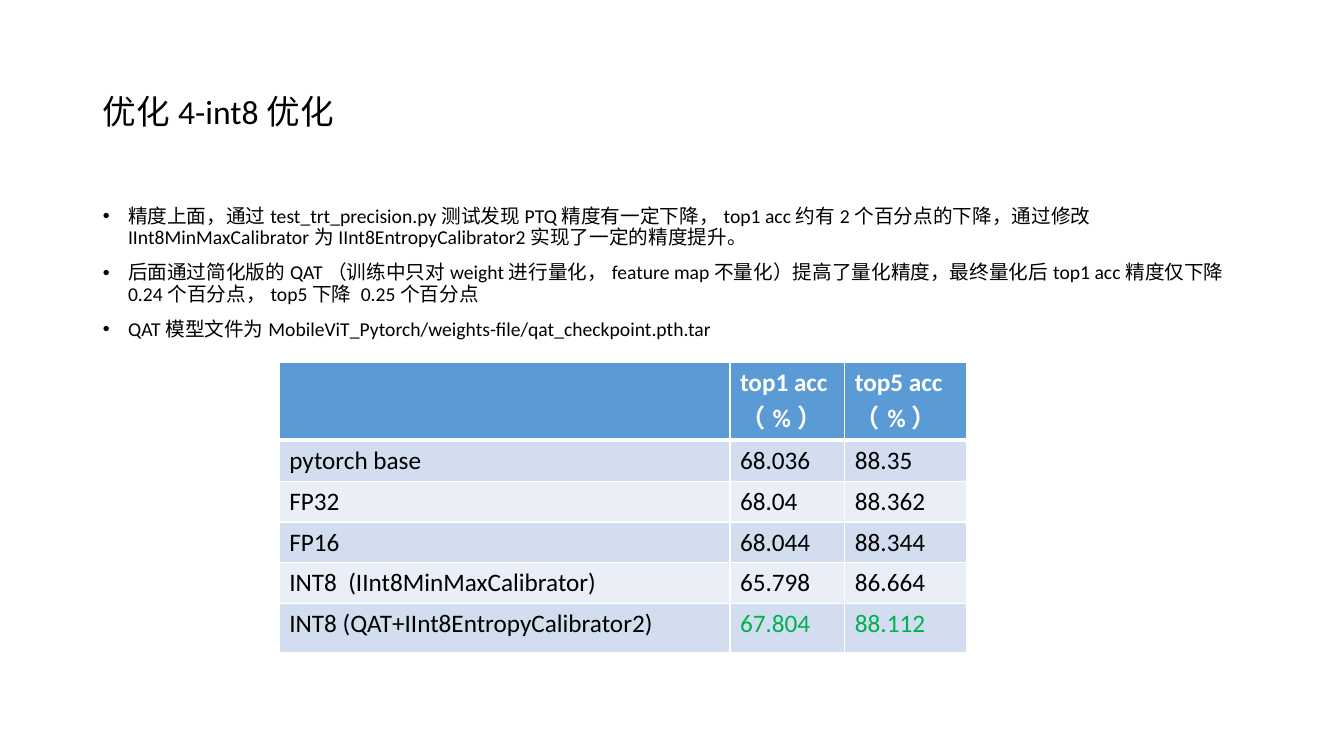
from pptx import Presentation
from pptx.dml.color import RGBColor
from pptx.enum.text import MSO_ANCHOR, MSO_AUTO_SIZE, PP_ALIGN
from pptx.oxml.ns import qn
from pptx.util import Inches, Pt
from lxml.etree import SubElement

WHITE = RGBColor(0xFF, 0xFF, 0xFF)
BLACK = RGBColor(0x00, 0x00, 0x00)
GREEN = RGBColor(0x00, 0xB0, 0x50)
HEADER_BLUE = RGBColor(0x5B, 0x9B, 0xD5)
BANDS = (RGBColor(0xEA, 0xEF, 0xF7), RGBColor(0xD2, 0xDE, 0xEF))
FONT = "Calibri"

TITLE = "优化4-int8优化"
FINDINGS = [
    "精度上面，通过test_trt_precision.py测试发现PTQ精度有一定下降，top1 acc约有2个百分点的下降，"
    "通过修改IInt8MinMaxCalibrator为IInt8EntropyCalibrator2实现了一定的精度提升。",
    "后面通过简化版的QAT（训练中只对weight进行量化，feature map不量化）提高了量化精度，"
    "最终量化后top1 acc精度仅下降0.24个百分点，top5下降 0.25个百分点",
    "QAT模型文件为MobileViT_Pytorch/weights-file/qat_checkpoint.pth.tar",
]
ACCURACY = [
    ("", "top1 acc（%）", "top5 acc（%）"),
    ("pytorch base", "68.036", "88.35"),
    ("FP32", "68.04", "88.362"),
    ("FP16", "68.044", "88.344"),
    ("INT8  (IInt8MinMaxCalibrator)", "65.798", "86.664"),
    ("INT8 (QAT+IInt8EntropyCalibrator2)", "67.804", "88.112"),
]
COLUMN_WIDTHS = (4.47, 1.14, 1.21)
ROW_HEIGHTS = (0.41, 0.4, 0.4, 0.4, 0.4, 0.48)


def place(shape, box):
    shape.left, shape.top, shape.width, shape.height = map(Inches, box)


def add_text(para, text, size, color, bold=False):
    run = para.add_run()
    run.text = text
    run.font.name = FONT
    run.font.size = Pt(size)
    run.font.bold = bold
    run.font.color.rgb = color


def fill_title(title, box):
    place(title, box)
    title.text_frame.vertical_anchor = MSO_ANCHOR.MIDDLE
    title.text_frame.auto_size = MSO_AUTO_SIZE.NONE
    para = title.text_frame.paragraphs[0]
    para.alignment = PP_ALIGN.LEFT
    para.line_spacing = 0.9
    add_text(para, TITLE, 24, BLACK)


def fill_findings(body, box):
    place(body, box)
    frame = body.text_frame
    frame.auto_size = MSO_AUTO_SIZE.NONE
    for index, finding in enumerate(FINDINGS):
        para = frame.add_paragraph() if index else frame.paragraphs[0]
        para.line_spacing = 0.9
        para.space_before = Pt(10)
        properties = para._p.get_or_add_pPr()
        properties.set("marL", str(Inches(0.25)))
        properties.set("indent", str(-Inches(0.25)))
        SubElement(properties, qn("a:buFont"), typeface="Arial")
        SubElement(properties, qn("a:buChar"), char="•")
        add_text(para, finding, 14, BLACK)


def set_borders(cell, top, bottom):
    """Draw white cell borders; top and bottom are widths in points."""
    properties = cell._tc.get_or_add_tcPr()
    for side, width in (("L", 1), ("R", 1), ("T", top), ("B", bottom)):
        line = SubElement(properties, qn(f"a:ln{side}"), w=str(Pt(width)))
        fill = SubElement(line, qn("a:solidFill"))
        SubElement(fill, qn("a:srgbClr"), val=str(WHITE))


def add_accuracy_table(page, left, top):
    rows, columns = len(ACCURACY), len(COLUMN_WIDTHS)
    table = page.shapes.add_table(
        rows, columns, Inches(left), Inches(top),
        Inches(sum(COLUMN_WIDTHS)), Inches(sum(ROW_HEIGHTS))).table
    for column, width in zip(table.columns, COLUMN_WIDTHS):
        column.width = Inches(width)
    for row, height in zip(table.rows, ROW_HEIGHTS):
        row.height = Inches(height)
    for r, values in enumerate(ACCURACY):
        header = r == 0
        for c, value in enumerate(values):
            cell = table.cell(r, c)
            set_borders(cell, 3 if r == 1 else 1, 3 if header else 1)
            cell.fill.solid()
            cell.fill.fore_color.rgb = HEADER_BLUE if header else BANDS[r % 2]
            best = r == rows - 1 and c > 0
            color = WHITE if header else GREEN if best else BLACK
            if value:
                add_text(cell.text_frame.paragraphs[0], value, 18, color, header)


def main():
    deck = Presentation()
    deck.slide_width, deck.slide_height = Inches(13.33), Inches(7.5)
    page = deck.slides.add_slide(deck.slide_layouts[1])
    fill_title(page.shapes.title, (0.92, 0.4, 11.5, 1.45))
    fill_findings(page.placeholders[1], (0.92, 2, 11.5, 4.76))
    add_accuracy_table(page, 2.77, 3.6)
    deck.save("out.pptx")


if __name__ == "__main__":
    main()
